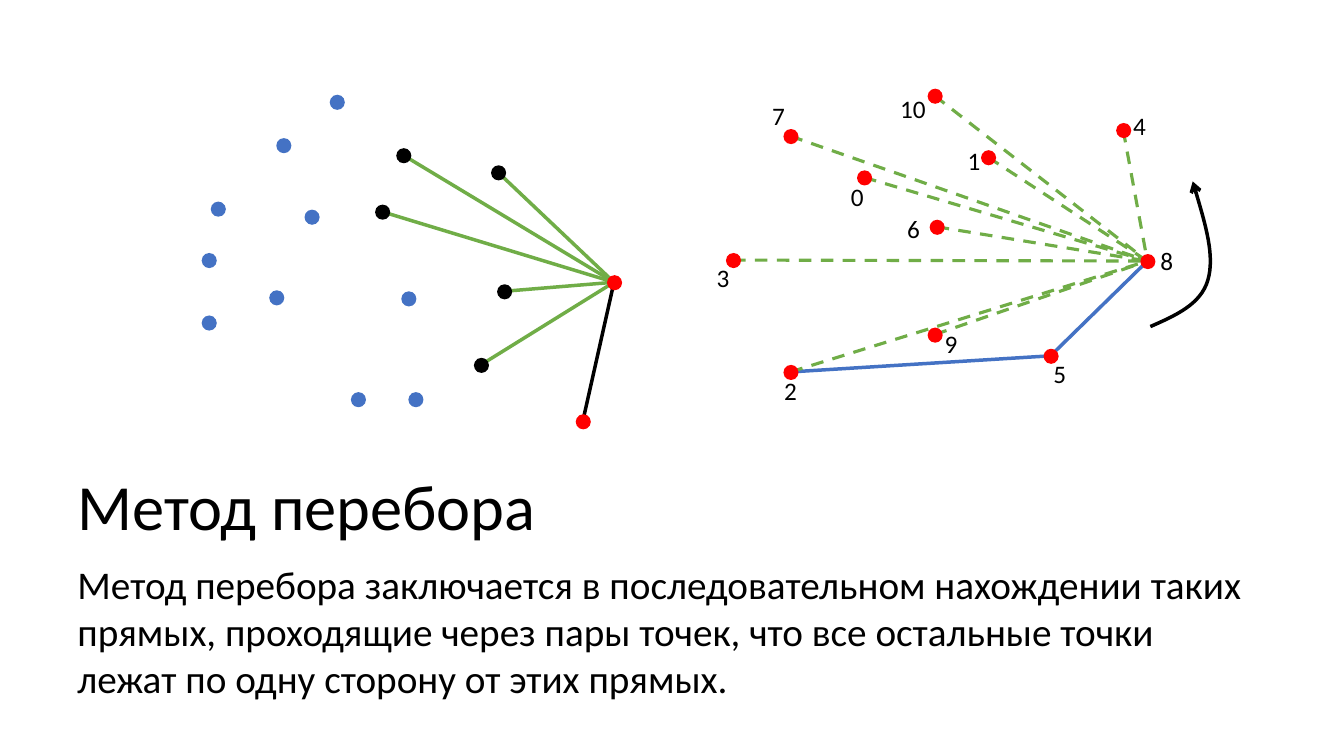
from dataclasses import dataclass

from lxml import etree
from pptx import Presentation
from pptx.dml.color import RGBColor
from pptx.enum.dml import MSO_LINE
from pptx.enum.shapes import MSO_CONNECTOR, MSO_SHAPE
from pptx.enum.text import MSO_ANCHOR, PP_ALIGN
from pptx.oxml.ns import qn
from pptx.util import Pt

PX = 9144
STRAIGHT = MSO_CONNECTOR.STRAIGHT
OVAL = MSO_SHAPE.OVAL
DASH = MSO_LINE.DASH
TOP = MSO_ANCHOR.TOP
MIDDLE = MSO_ANCHOR.MIDDLE
LEFT = PP_ALIGN.LEFT


@dataclass(frozen=True)
class Theme:
    font: str = "Calibri"
    black: str = "000000"
    blue: str = "4472C4"
    green: str = "70AD47"
    red: str = "FF0000"
    title_size: float = 46
    body_size: float = 28
    label_size: float = 18
    solid_width: float = 2.5
    dashed_width: float = 2.25
    dot: int = 15


THEME = Theme()

TITLE = "Метод перебора"
BODY = (
    "Метод перебора заключается в последовательном нахождении таких прямых, "
    "проходящие через пары точек, что все остальные точки лежат по одну "
    "сторону от этих прямых."
)

OTHER_POINTS = [
    (7, 230), (74, 205), (155, 306), (212, 306), (7, 168),
    (16, 117), (81, 54), (134, 11), (109, 125), (205, 206),
]
CANDIDATES = [(277, 272), (300, 199), (179, 120), (200, 64), (294, 81)]
HULL_START = (378, 328)
HULL_NEXT = (409, 190)

NUMBERED_POINTS = [
    (157, 96), (280, 76), (84, 289), (27, 178), (414, 49), (342, 273),
    (229, 145), (84, 55), (438, 179), (227, 252), (227, 15),
]
LABEL_CORNERS = [
    (134, 95), (250, 59), (68, 287), (1, 175), (414, 25), (335, 271),
    (190, 127), (56, 15), (441, 158), (227, 241), (183, 8),
]
HULL_PATH = [2, 5, 8]
TURN_CURVE = [
    (441, 244), (466, 233), (491, 222), (498, 198),
    (505, 174), (494, 137), (483, 100),
]


def color(value):
    return RGBColor.from_string(value)


def shift(box, point):
    return box[0] + point[0], box[1] + point[1]


def add_text(slide, box, text, size, anchor=TOP, wrap=True, spacing=1.0):
    shape = slide.shapes.add_textbox(*(length * PX for length in box))
    frame = shape.text_frame
    frame.word_wrap = wrap
    frame.vertical_anchor = anchor
    frame.text = text
    paragraph = frame.paragraphs[0]
    paragraph.alignment = LEFT
    paragraph.line_spacing = spacing
    font = paragraph.runs[0].font
    font.name = THEME.font
    font.size = Pt(size)
    font.color.rgb = color(THEME.black)


def add_dot(slide, box, center, fill):
    x, y = shift(box, center)
    radius = THEME.dot // 2
    shape = slide.shapes.add_shape(
        OVAL, (x - radius) * PX, (y - radius) * PX, THEME.dot * PX, THEME.dot * PX
    )
    shape.shadow.inherit = False
    shape.fill.solid()
    shape.fill.fore_color.rgb = color(fill)
    shape.line.fill.background()


def add_line(slide, box, start, end, stroke, dashed=False):
    ends = shift(box, start) + shift(box, end)
    connector = slide.shapes.add_connector(STRAIGHT, *(length * PX for length in ends))
    etree.SubElement(connector._element.spPr, qn("a:effectLst"))
    connector.line.color.rgb = color(stroke)
    connector.line.width = Pt(THEME.dashed_width if dashed else THEME.solid_width)
    if dashed:
        connector.line.dash_style = DASH


def add_curved_arrow(slide, box, points):
    start, *rest = (shift(box, point) for point in points)
    builder = slide.shapes.build_freeform(*start, scale=PX)
    builder.add_line_segments(rest, close=False)
    shape = builder.convert_to_shape()
    outline = next(shape._element.iter(qn("a:path")))
    segments = outline.findall(qn("a:lnTo"))
    for first in range(0, len(segments), 3):
        curve = etree.SubElement(outline, qn("a:cubicBezTo"))
        for segment in segments[first:first + 3]:
            curve.append(segment[0])
            outline.remove(segment)
    shape.shadow.inherit = False
    shape.fill.background()
    shape.line.color.rgb = color(THEME.black)
    shape.line.width = Pt(THEME.solid_width)
    etree.SubElement(shape.line._get_or_add_ln(), qn("a:tailEnd"), type="arrow")


def add_search_figure(slide, box):
    for point in OTHER_POINTS:
        add_dot(slide, box, point, THEME.blue)
    add_line(slide, box, HULL_START, HULL_NEXT, THEME.black)
    for point in CANDIDATES:
        add_line(slide, box, point, HULL_NEXT, THEME.green)
    for point in (HULL_START, HULL_NEXT):
        add_dot(slide, box, point, THEME.red)
    for point in CANDIDATES:
        add_dot(slide, box, point, THEME.black)


def add_numbered_figure(slide, box):
    hull = [NUMBERED_POINTS[index] for index in HULL_PATH]
    current = hull[-1]
    for start, end in zip(hull, hull[1:]):
        add_line(slide, box, start, end, THEME.blue)
    for index, point in enumerate(NUMBERED_POINTS):
        if index not in HULL_PATH[1:]:
            add_line(slide, box, point, current, THEME.green, dashed=True)
    for point in NUMBERED_POINTS:
        add_dot(slide, box, point, THEME.red)
    for number, corner in enumerate(LABEL_CORNERS):
        width = 20 + 13 * len(str(number))
        label_box = shift(box, corner) + (width, 40)
        add_text(slide, label_box, str(number), THEME.label_size, wrap=False)
    add_curved_arrow(slide, box, TURN_CURVE)


def add_explanation(slide, box):
    left, top, width, height = box
    title_height = 86
    body_top = 88
    add_text(slide, (left, top, width, title_height), TITLE, THEME.title_size,
             anchor=MIDDLE, spacing=0.9)
    add_text(slide, (left, top + body_top, width, height - body_top), BODY,
             THEME.body_size)


def main():
    presentation = Presentation()
    presentation.slide_width = 1333 * PX
    presentation.slide_height = 750 * PX
    slide = presentation.slides.add_slide(presentation.slide_layouts[6])
    add_search_figure(slide, (200, 90, 425, 336))
    add_numbered_figure(slide, (700, 80, 510, 327))
    add_explanation(slide, (67, 463, 1179, 239))
    presentation.save("out.pptx")


if __name__ == "__main__":
    main()
